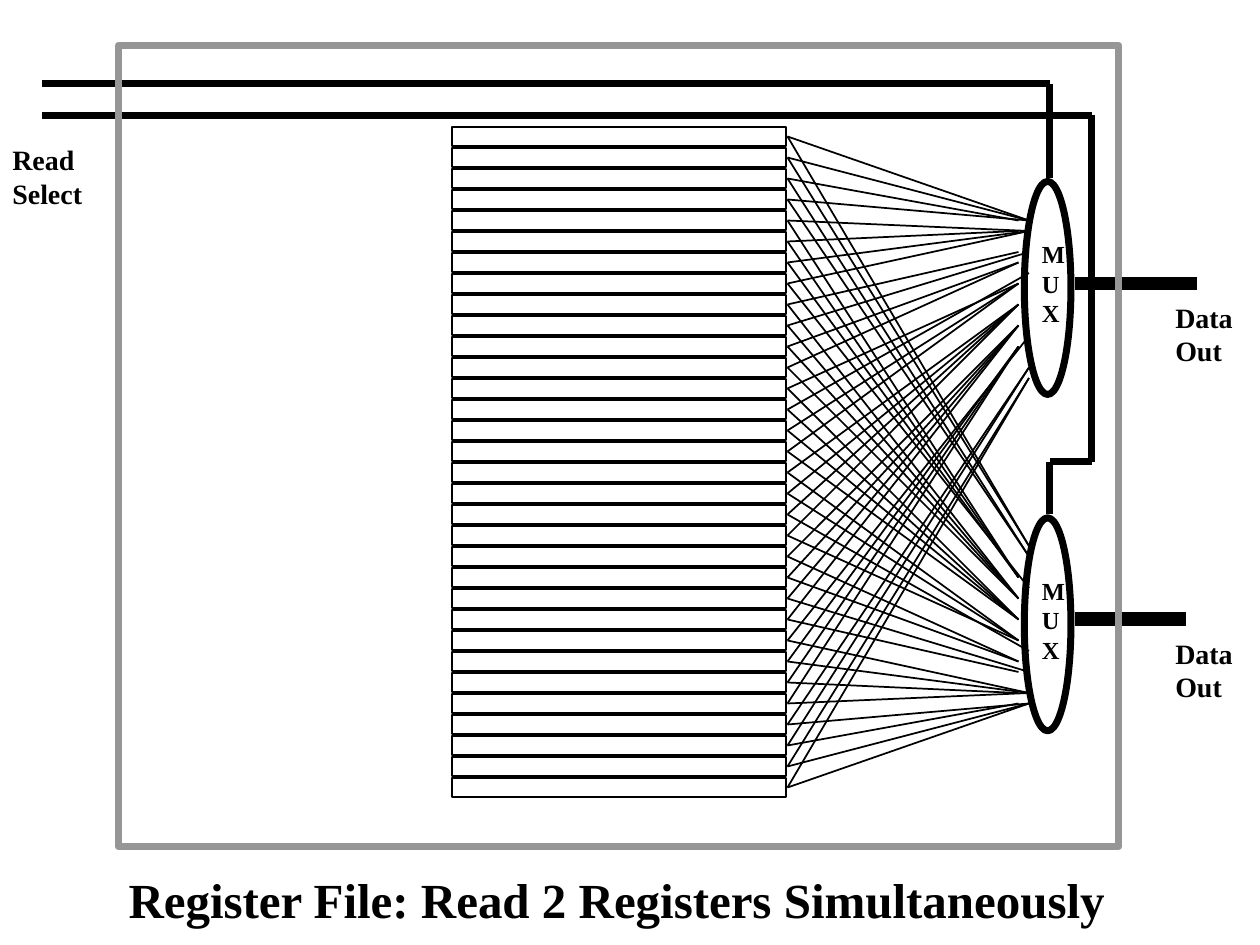
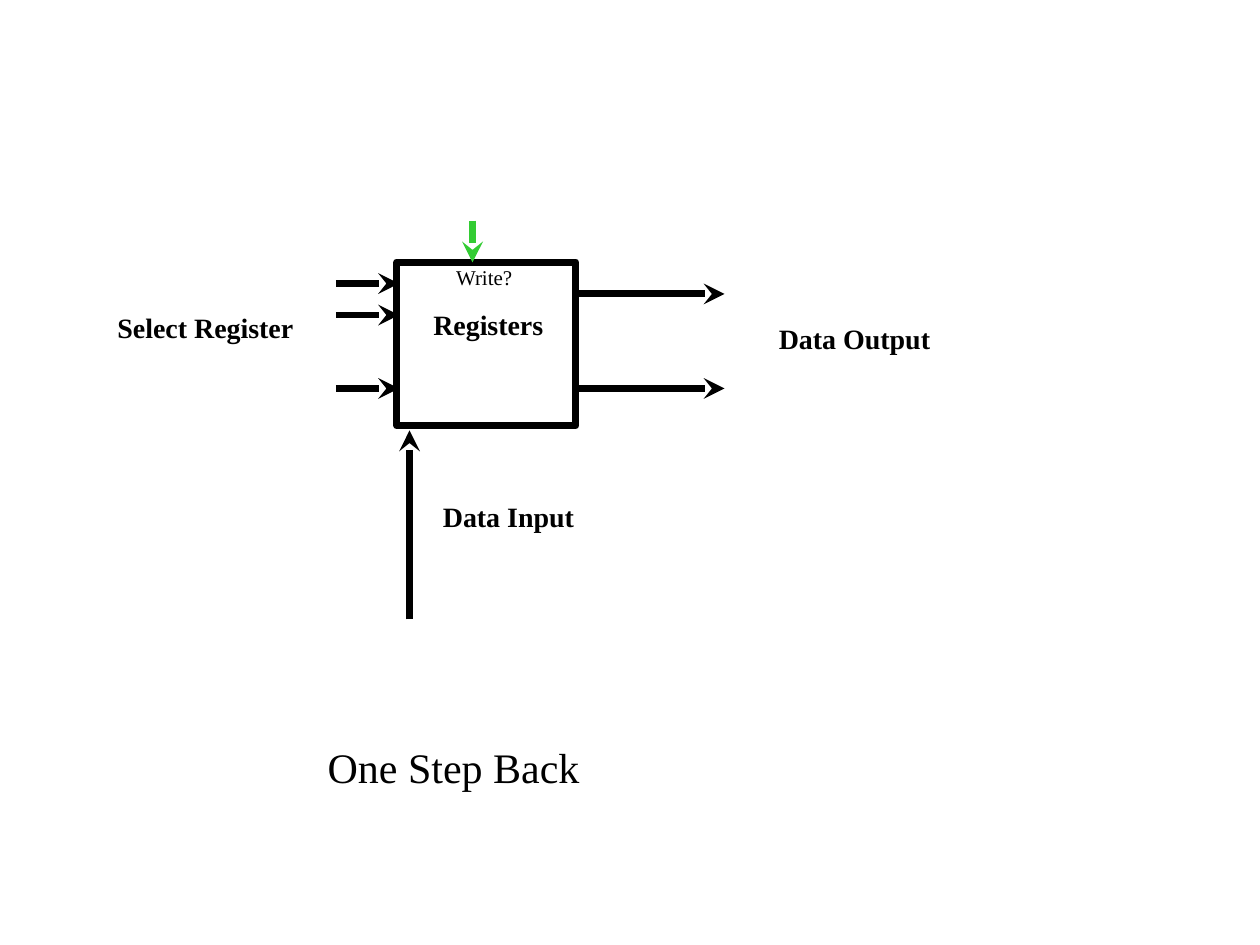
from lxml import etree
from pptx import Presentation
from pptx.dml.color import RGBColor
from pptx.enum.shapes import MSO_CONNECTOR, MSO_SHAPE
from pptx.enum.text import MSO_ANCHOR, MSO_AUTO_SIZE, PP_ALIGN
from pptx.oxml.ns import qn
from pptx.util import Cm, Pt

BLACK = RGBColor(0x00, 0x00, 0x00)
GREY = RGBColor(0x96, 0x96, 0x96)
GREEN = RGBColor(0x33, 0xCC, 0x33)
FONT = "Times New Roman"
THIN, THICK, BUS = 0.99, 4, 7.99

# Every place is in grid units of 1/12 inch; boxes are (left, top, width, height).
GRID_CM = 2.54 / 12
SLIDE_SIZE = (120, 90)

# Register file slide
READ_TITLE = "Register File: Read 2 Registers Simultaneously"
READ_TITLE_BOX = (11.04, 82.2, 95.52, 6.84)
REGISTER_COUNT = 32
REGISTER_PITCH = 2
FIRST_REGISTER = (43.08, 12.12, 31.8, 1.8)
WIRE_START = (75, 13)
MIRROR_SUM = 88  # y of a wire to the upper mux plus y of its lower twin
# (end x, end y) at the upper mux, from the first register to the last
WIRE_ENDS = [
    (98, 21), (98, 21), (97, 21), (98, 21), (98, 22), (97, 22), (98, 22), (98, 22),
    (97, 24), (98, 24), (97, 25), (97, 25), (97, 27), (98, 26), (97, 27), (97, 27),
    *[(97, 29)] * 4, *[(97, 31)] * 4,
    (98, 32), *[(97, 33)] * 3, (98, 35), (98, 35), (98, 36), (98, 36),
]
MUX_TOPS = (17.28, 49.32)
MUX_LETTERS = ["M", "U", "X"]
DATA_BUSES = [((102.4, 27), (114, 27)), ((102.4, 59), (113, 59))]
SELECT_PATHS = [
    [(100, 17), (100, 8), (4, 8)],
    [(100, 49), (100, 44), (104, 44), (104, 11), (4, 11)],
]
READ_LABELS = [
    (["Data", "Out"], (110.76, 28, 7.92, 7.56)),
    (["Data", "Out"], (110.76, 60, 7.92, 7.56)),
    (["Read", "Select"], (0, 13, 9.12, 7.56)),
]
CHIP_FRAME = (11.28, 4.32, 95.28, 76.32)

# Overview slide
OVERVIEW_TITLE = "One Step Back"
OVERVIEW_TITLE_BOX = (30, 70, 60, 6)
REGISTERS_FRAME = (37.8, 24.96, 17.04, 15.6)
REGISTERS_LABEL = (["Registers"], (40.08, 28.7, 12.96, 4.44))
WRITE_LABEL = (["Write?"], (42.26, 24.6, 7.9, 3.6))
OUTER_LABELS = [
    (["Select Register"], (10, 29, 20, 4.44)),
    (["Data Input"], (41, 47, 15, 4.44)),
    (["Data Output"], (73, 30, 19, 4.44)),
]
SIGNALS = [
    ((32, 27), (38, 27), BLACK),
    ((32, 30), (38, 30), BLACK),
    ((32, 37), (38, 37), BLACK),
    ((39, 59), (39, 41), BLACK),
    ((45, 21), (45, 25), GREEN),
    ((55, 28), (69, 28), BLACK),
    ((55, 37), (69, 37), BLACK),
]


def grid(*values):
    """Turn grid units into lengths."""
    return [Cm(value * GRID_CM) for value in values]


def format_text(frame, size, bold, wrap=False, before=0):
    """Give a text frame the shared text style."""
    frame.word_wrap = wrap
    frame.auto_size = MSO_AUTO_SIZE.SHAPE_TO_FIT_TEXT
    frame.vertical_anchor = MSO_ANCHOR.TOP
    for paragraph in frame.paragraphs:
        paragraph.alignment = PP_ALIGN.LEFT
        paragraph.space_before = Pt(before)
        for run in paragraph.runs:
            run.font.name = FONT
            run.font.size = Pt(size)
            run.font.bold = bold
            run.font.color.rgb = BLACK


def add_titled_slide(deck, text, box, size, bold, **style):
    """Add a title-only slide with its title moved to the box."""
    slide = deck.slides.add_slide(deck.slide_layouts[5])
    title = slide.shapes.title
    title.left, title.top, title.width, title.height = grid(*box)
    title.text_frame.text = text
    format_text(title.text_frame, size, bold, **style)
    return slide


def add_label(shapes, lines, box, size=16, bold=True, **style):
    """Add a text box with one paragraph per line."""
    frame = shapes.add_textbox(*grid(*box)).text_frame
    frame.text = "\n".join(lines)
    format_text(frame, size, bold, **style)


def add_outline(shapes, preset, box, width, color=BLACK):
    """Add an unfilled shape."""
    outline = shapes.add_shape(preset, *grid(*box))
    outline.shadow.inherit = False
    outline.fill.background()
    outline.line.color.rgb = color
    outline.line.width = Pt(width)


def add_wire(shapes, start, end, width, color=BLACK, arrow=False):
    """Add a straight line, with a stealth arrowhead if asked."""
    wire = shapes.add_connector(MSO_CONNECTOR.STRAIGHT, *grid(*start, *end))
    wire.line.color.rgb = color
    wire.line.width = Pt(width)
    properties = wire._element.spPr
    if arrow:
        etree.SubElement(properties.find(qn("a:ln")), qn("a:tailEnd"), type="stealth")
    etree.SubElement(properties, qn("a:effectLst"))


def add_wire_fan(shapes, mirrored):
    """Add the grouped wires from all registers to one mux."""
    fan = shapes.add_group_shape().shapes
    start_x, first_y = WIRE_START
    for index, (end_x, end_y) in enumerate(WIRE_ENDS):
        start_y = first_y + index * REGISTER_PITCH
        if mirrored:
            start_y, end_y = MIRROR_SUM - start_y, MIRROR_SUM - end_y
        add_wire(fan, (start_x, start_y), (end_x, end_y), THIN)


def build_read_slide(deck):
    """Build the register file with its two read muxes."""
    shapes = add_titled_slide(deck, READ_TITLE, READ_TITLE_BOX, 28, True).shapes
    left, top, width, height = FIRST_REGISTER
    for index in range(REGISTER_COUNT):
        box = (left, top + index * REGISTER_PITCH, width, height)
        add_outline(shapes, MSO_SHAPE.RECTANGLE, box, THIN)
    for mirrored, (mux_top, bus) in enumerate(zip(MUX_TOPS, DATA_BUSES)):
        add_wire_fan(shapes, mirrored)
        add_outline(shapes, MSO_SHAPE.OVAL, (97.56, mux_top, 4.44, 20.28), THICK)
        add_label(shapes, MUX_LETTERS, (98.04, mux_top + 4.92, 4.68, 9.6), size=14)
        add_wire(shapes, *bus, BUS)
    for corners in SELECT_PATHS:
        for start, end in zip(corners, corners[1:]):
            add_wire(shapes, start, end, THICK)
    for lines, box in READ_LABELS:
        add_label(shapes, lines, box)
    add_outline(shapes, MSO_SHAPE.RECTANGLE, CHIP_FRAME, THICK, GREY)


def build_overview_slide(deck):
    """Build the register block with its inputs and outputs."""
    slide = add_titled_slide(deck, OVERVIEW_TITLE, OVERVIEW_TITLE_BOX, 24, False,
                             wrap=True, before=15)
    shapes = slide.shapes
    add_outline(shapes, MSO_SHAPE.RECTANGLE, REGISTERS_FRAME, THICK)
    add_label(shapes, *REGISTERS_LABEL)
    add_label(shapes, *WRITE_LABEL, size=12, bold=False)
    for start, end, color in SIGNALS:
        add_wire(shapes, start, end, THICK, color, arrow=True)
    for lines, box in OUTER_LABELS:
        add_label(shapes, lines, box, wrap=True, before=10)


deck = Presentation()
deck.slide_width, deck.slide_height = grid(*SLIDE_SIZE)
build_read_slide(deck)
build_overview_slide(deck)
deck.save("out.pptx")
